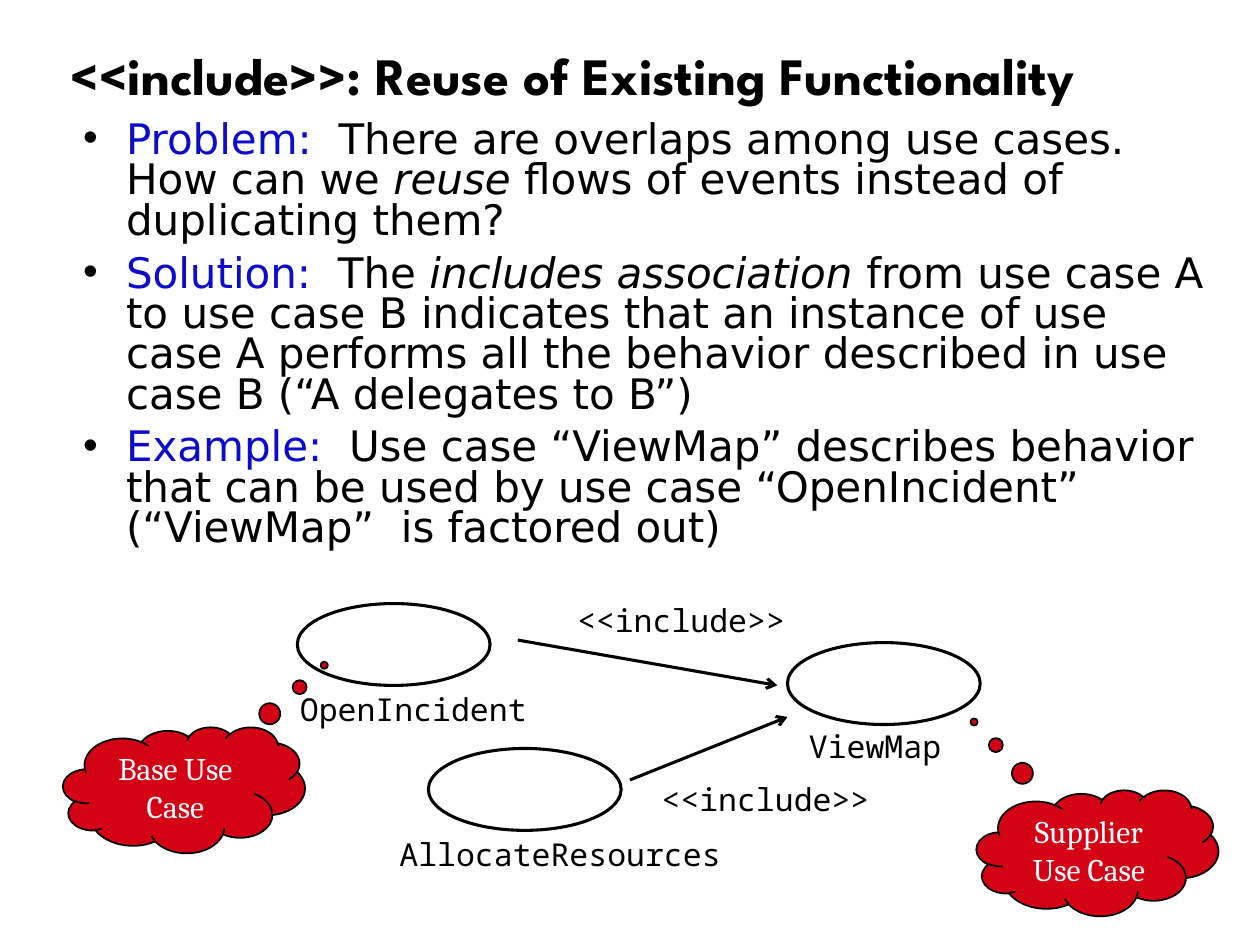
from dataclasses import dataclass

from lxml import etree
from pptx import Presentation
from pptx import util as u
from pptx.dml.color import RGBColor
from pptx.enum import shapes, text
from pptx.oxml.ns import qn


@dataclass(frozen=True)
class Theme:
    ink: str = "000000"
    accent: str = "0C0CCF"
    cloud: str = "D30315"
    light: str = "FFFFFF"
    title_font: str = "League Spartan"
    body_font: str = "DejaVu Sans"
    label_font: str = "Noto Sans Mono"
    cloud_font: str = "Cambria"
    title_size: int = 30
    body_size: int = 24
    label_size: int = 18
    stroke: float = 1.75
    outline: float = 1


def add_run(paragraph, content, *, font, size, color, bold=False, italic=False):
    run = paragraph.add_run()
    run.text = content
    run.font.name = font
    run.font.size = u.Pt(size)
    run.font.color.rgb = RGBColor.from_string(color)
    run.font.bold = bold
    run.font.italic = italic


def place(shape, left, top, width, height):
    shape.left, shape.top = u.Inches(left), u.Inches(top)
    shape.width, shape.height = u.Inches(width), u.Inches(height)


def set_margins(frame, horizontal, vertical):
    frame.margin_left = frame.margin_right = u.Inches(horizontal)
    frame.margin_top = frame.margin_bottom = u.Inches(vertical)


class SlideBuilder:
    def __init__(self, slide, theme):
        self.slide = slide
        self.theme = theme

    def stroke(self, line, width):
        line.color.rgb = RGBColor.from_string(self.theme.ink)
        line.width = u.Pt(width)

    def title(self, content, box):
        shape = self.slide.shapes.title
        place(shape, *box)
        frame = shape.text_frame
        frame.auto_size = text.MSO_AUTO_SIZE.NONE
        frame.vertical_anchor = text.MSO_ANCHOR.MIDDLE
        set_margins(frame, 0.1, 0.05)
        paragraph = frame.paragraphs[0]
        paragraph.alignment = text.PP_ALIGN.LEFT
        paragraph.line_spacing = 0.9
        add_run(paragraph, content, font=self.theme.title_font,
                size=self.theme.title_size, color=self.theme.ink, bold=True)

    def bullet(self, paragraph):
        properties = paragraph._p.get_or_add_pPr()
        properties.set("marL", str(u.Inches(0.34)))
        properties.set("indent", str(u.Inches(-0.34)))
        color = etree.SubElement(properties, qn("a:buClr"))
        etree.SubElement(color, qn("a:srgbClr"), val=self.theme.ink)
        etree.SubElement(properties, qn("a:buChar"), char="•")

    def body(self, items, box):
        shape = self.slide.placeholders[1]
        place(shape, *box)
        frame = shape.text_frame
        frame.auto_size = text.MSO_AUTO_SIZE.NONE
        set_margins(frame, 0.09, 0.05)
        for index, (heading, parts) in enumerate(items):
            paragraph = frame.add_paragraph() if index else frame.paragraphs[0]
            self.bullet(paragraph)
            paragraph.line_spacing = 0.8
            paragraph.space_before = u.Pt(7.2 if index else 0)
            style = dict(font=self.theme.body_font, size=self.theme.body_size)
            add_run(paragraph, heading, color=self.theme.accent, **style)
            for position, part in enumerate(parts):
                add_run(paragraph, part, color=self.theme.ink,
                        italic=position % 2 == 1, **style)

    def ellipse(self, left, top):
        shape = self.slide.shapes.add_shape(
            shapes.MSO_SHAPE.OVAL, u.Inches(left), u.Inches(top),
            u.Inches(1.53), u.Inches(0.65))
        shape.shadow.inherit = False
        shape.fill.background()
        self.stroke(shape.line, self.theme.stroke)

    def label(self, content, left, top, width):
        shape = self.slide.shapes.add_textbox(
            u.Inches(left), u.Inches(top), u.Inches(width), u.Inches(0.3))
        frame = shape.text_frame
        frame.word_wrap = False
        frame.auto_size = text.MSO_AUTO_SIZE.SHAPE_TO_FIT_TEXT
        set_margins(frame, 0, 0)
        add_run(frame.paragraphs[0], content, font=self.theme.label_font,
                size=self.theme.label_size, color=self.theme.ink)

    def arrow(self, start, end):
        connector = self.slide.shapes.add_connector(
            shapes.MSO_CONNECTOR.STRAIGHT, *map(u.Inches, start + end))
        self.stroke(connector.line, self.theme.stroke)
        etree.SubElement(connector.line._get_or_add_ln(), qn("a:tailEnd"), type="arrow")
        etree.SubElement(connector._element.spPr, qn("a:effectLst"))

    def cloud(self, lines, left, top, pointer):
        shape = self.slide.shapes.add_shape(
            shapes.MSO_SHAPE.CLOUD_CALLOUT, u.Inches(left), u.Inches(top),
            u.Inches(1.92), u.Inches(1))
        shape.shadow.inherit = False
        shape.adjustments[0], shape.adjustments[1] = pointer
        shape.fill.solid()
        shape.fill.fore_color.rgb = RGBColor.from_string(self.theme.cloud)
        self.stroke(shape.line, self.theme.outline)
        frame = shape.text_frame
        frame.word_wrap = False
        frame.vertical_anchor = text.MSO_ANCHOR.MIDDLE
        for index, line in enumerate(lines):
            paragraph = frame.add_paragraph() if index else frame.paragraphs[0]
            paragraph.alignment = text.PP_ALIGN.CENTER
            add_run(paragraph, line, font=self.theme.cloud_font,
                    size=self.theme.label_size, color=self.theme.light)


def main():
    presentation = Presentation()
    presentation.slide_width = u.Inches(10)
    presentation.slide_height = u.Inches(7.5)
    slide = presentation.slides.add_slide(presentation.slide_layouts[1])
    builder = SlideBuilder(slide, Theme())

    builder.title("<<include>>: Reuse of Existing Functionality", (0.46, 0.24, 9.21, 0.77))
    builder.body([
        ("Problem:", ["  There are overlaps among use cases. How can we ", "reuse",
                      " flows of events instead of duplicating them?"]),
        ("Solution:", ["  The ", "includes association",
                       " from use case A to use case B indicates that an instance of "
                       "use case A performs all the behavior described in use case B "
                       "(“A delegates to B”)"]),
        ("Example:", ["  Use case “ViewMap” describes behavior that can be used by "
                      "use case “OpenIncident” (“ViewMap”  is factored out)"]),
    ], (0.57, 0.92, 9.09, 3.17))

    for left, top in [(6.25, 5.1), (2.36, 4.79), (3.4, 5.94)]:
        builder.ellipse(left, top)
    for content, left, top, width in [
        ("ViewMap", 6.42, 5.77, 1.05),
        ("OpenIncident", 2.38, 5.48, 1.81),
        ("AllocateResources", 3.17, 6.63, 2.56),
        ("<<include>>", 5.25, 6.19, 1.66),
        ("<<include>>", 4.58, 4.77, 1.66),
    ]:
        builder.label(content, left, top, width)
    builder.arrow((5, 6.19), (6.25, 5.69))
    builder.arrow((4.11, 5.08), (6.17, 5.44))
    builder.cloud(["Base Use", "Case"], 0.5, 5.77, (0.58, -0.99))
    builder.cloud(["Supplier", "Use Case"], 7.75, 6.27, (-0.51, -1.04))

    presentation.save("out.pptx")


if __name__ == "__main__":
    main()
